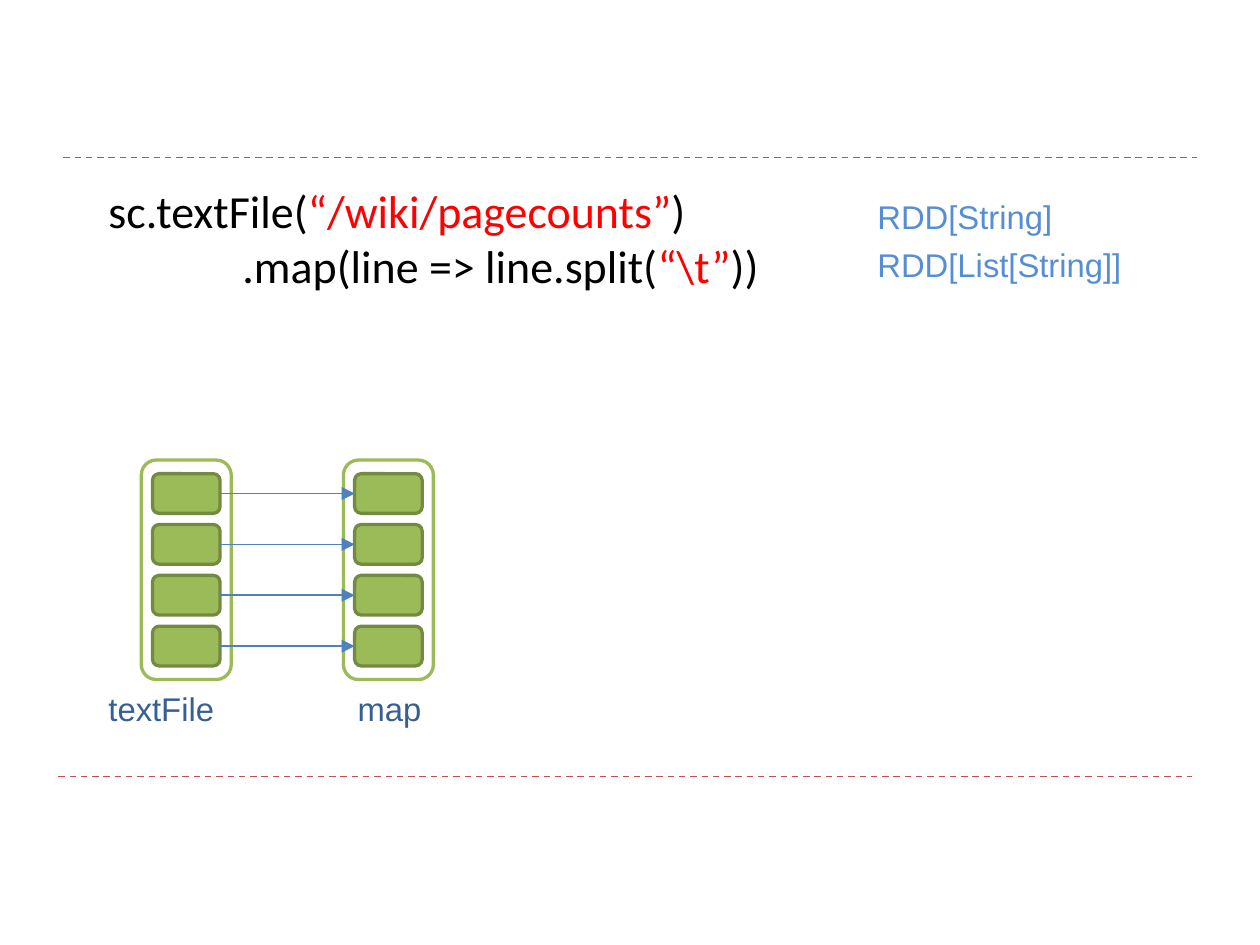
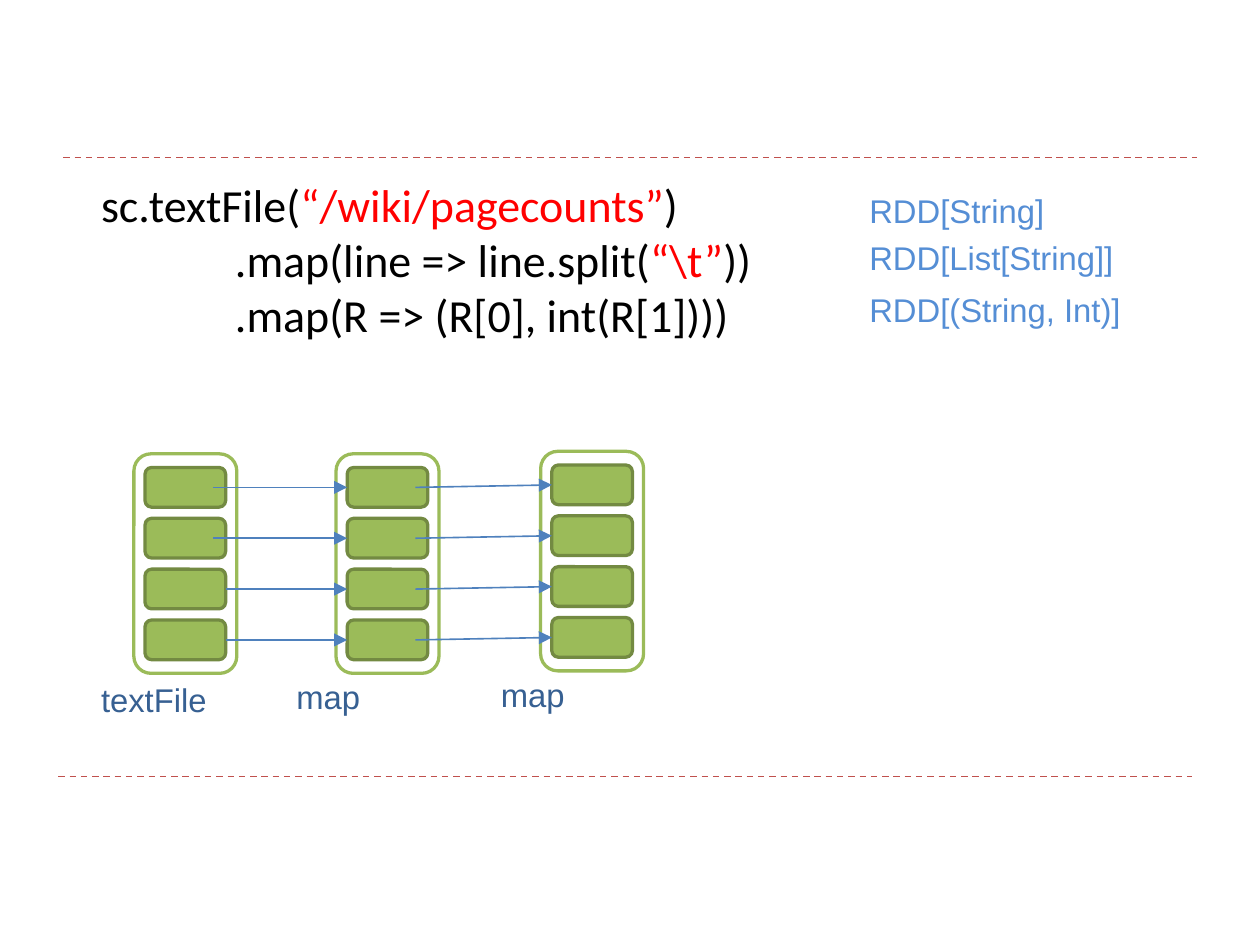
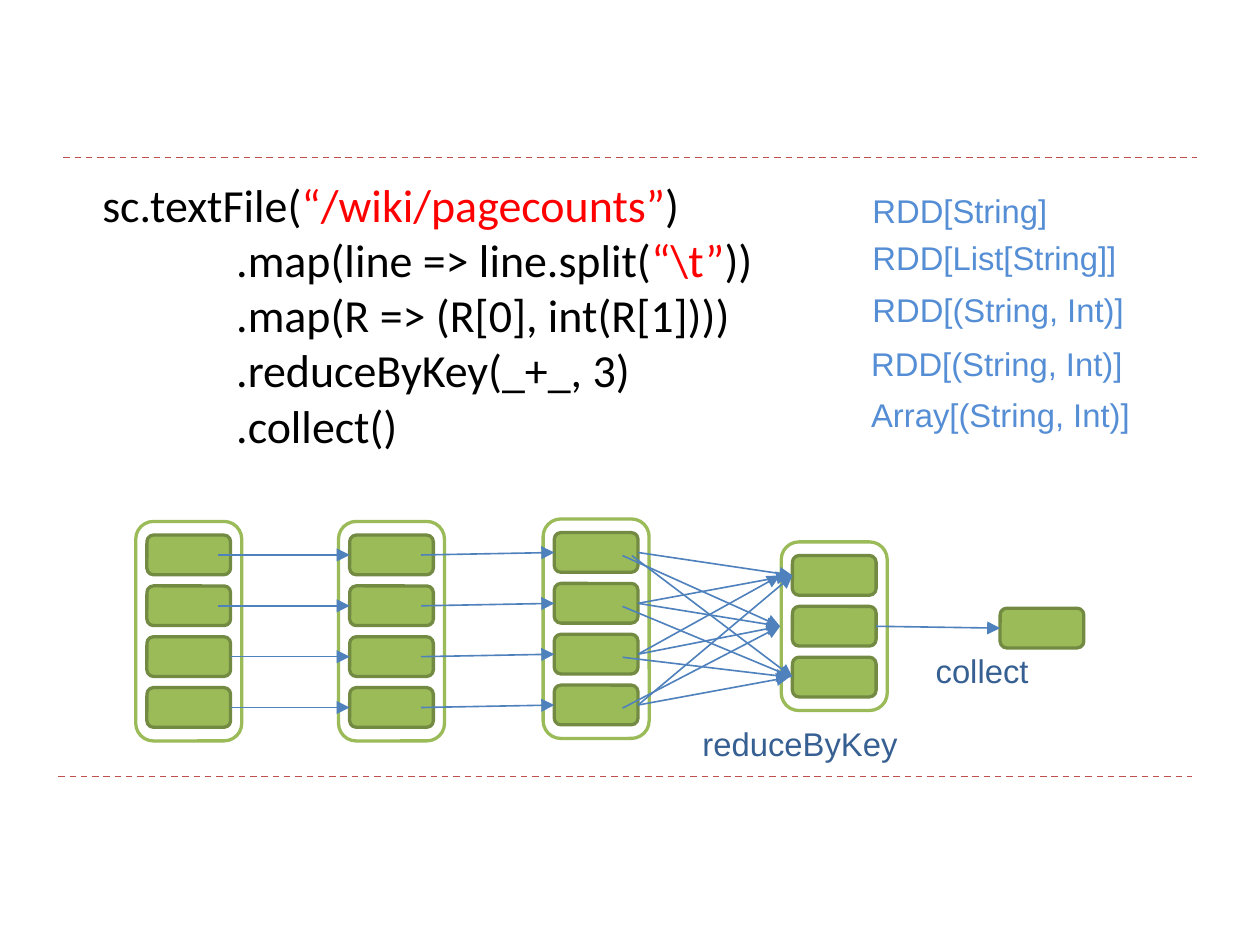
"""Build three slides that trace a chain of RDD operations from code to partitions."""
from dataclasses import dataclass

from pptx import Presentation
from pptx import util as u
from pptx.dml.color import RGBColor
from pptx.enum import dml, shapes, text
from pptx.oxml import ns, xmlchemy


@dataclass(frozen=True)
class Theme:
    rule: str = "C0504D"
    code: str = "000000"
    literal: str = "FF0000"
    type_name: str = "558ED5"
    stage: str = "376092"
    panel: str = "FFFFFF"
    green: str = "9BBB59"
    dark_green: str = "738A42"
    arrow: str = "4F81BD"
    code_font: str = "Calibri"
    label_font: str = "Arial"
    code_size: float = 21
    label_size: float = 15
    thin: float = 0.75
    thick: float = 1.5


class Deck:
    margin_x, margin_y = 0.23, 0.11
    code_line, code_tab, label_height = 0.91, 2.16, 0.86
    cell_height, cell_pitch = 0.64, 0.82
    inset_x, inset_y = 0.18, 0.22

    def __init__(self, theme):
        self.theme = theme
        self.presentation = Presentation()
        self.presentation.slide_width = u.Cm(20.32)
        self.presentation.slide_height = u.Cm(15.24)
        self.slide = None

    def new_slide(self):
        layout = self.presentation.slide_layouts[6]
        self.slide = self.presentation.slides.add_slide(layout)
        for left, top in ((0.94, 12.52), (1.02, 2.54)):
            rule = self.line(u.Cm(left), u.Cm(top), u.Cm(left + 18.29), u.Cm(top), self.theme.rule)
            rule.line.dash_style = dml.MSO_LINE.DASH

    def line(self, begin_x, begin_y, end_x, end_y, color):
        connector = self.slide.shapes.add_connector(
            shapes.MSO_CONNECTOR.STRAIGHT, begin_x, begin_y, end_x, end_y)
        connector.line.color.rgb = RGBColor.from_string(color)
        connector.line.width = u.Pt(self.theme.thin)
        connector.element.spPr.append(xmlchemy.OxmlElement("a:effectLst"))
        return connector

    def text_box(self, left, top, width, height):
        shape = self.slide.shapes.add_textbox(u.Cm(left), u.Cm(top), u.Cm(width), u.Cm(height))
        frame = shape.text_frame
        frame.word_wrap = True
        frame.auto_size = text.MSO_AUTO_SIZE.SHAPE_TO_FIT_TEXT
        frame.margin_left = frame.margin_right = u.Cm(self.margin_x)
        frame.margin_top = frame.margin_bottom = u.Cm(self.margin_y)
        return frame

    def style(self, run, font, size, color):
        run.font.name = font
        run.font.size = u.Pt(size)
        run.font.color.rgb = RGBColor.from_string(color)

    def code(self, left, top, width, lines):
        height = 2 * self.margin_y + self.code_line * len(lines)
        frame = self.text_box(left, top, width, height)
        for index, line in enumerate(lines):
            paragraph = frame.add_paragraph() if index else frame.paragraphs[0]
            for part in line.replace("“", "|“").replace("”", "”|").split("|"):
                run = paragraph.add_run()
                run.text = part
                color = self.theme.literal if part.startswith("“") else self.theme.code
                self.style(run, self.theme.code_font, self.theme.code_size, color)
            self.tab_stop(paragraph)

    def tab_stop(self, paragraph):
        tabs = xmlchemy.OxmlElement("a:tabLst")
        tab = xmlchemy.OxmlElement("a:tab")
        tab.set("pos", str(int(u.Cm(self.code_tab))))
        tab.set("algn", "l")
        tabs.append(tab)
        paragraph._p.get_or_add_pPr().append(tabs)

    def label(self, words, left, top, width, color):
        frame = self.text_box(left, top, width, self.label_height)
        frame.text = words
        self.style(frame.paragraphs[0].runs[0], self.theme.label_font, self.theme.label_size, color)

    def type_name(self, words, left, top, width):
        self.label(words, left, top, width, self.theme.type_name)

    def stage(self, words, left, top, width):
        self.label(words, left, top, width, self.theme.stage)

    def box(self, container, left, top, width, height, fill, outline):
        shape = container.add_shape(shapes.MSO_SHAPE.ROUNDED_RECTANGLE,
                                    u.Cm(left), u.Cm(top), u.Cm(width), u.Cm(height))
        shape.shadow.inherit = False
        shape.fill.solid()
        shape.fill.fore_color.rgb = RGBColor.from_string(fill)
        shape.line.color.rgb = RGBColor.from_string(outline)
        shape.line.width = u.Pt(self.theme.thick)
        return shape

    def partition(self, container, left, top, width):
        return self.box(container, left, top, width, self.cell_height,
                        self.theme.green, self.theme.dark_green)

    def dataset(self, left, top, width, count=4):
        container = self.slide.shapes.add_group_shape().shapes
        height = 2 * self.inset_y + (count - 1) * self.cell_pitch + self.cell_height
        self.box(container, left, top, width, height, self.theme.panel, self.theme.green)
        return [self.partition(container, left + self.inset_x,
                               top + self.inset_y + row * self.cell_pitch,
                               width - 2 * self.inset_x)
                for row in range(count)]

    def arrow(self, source, target, overlap=0, gap=0, drop=0):
        connector = self.line(source.left + source.width - u.Cm(overlap),
                              source.top + source.height // 2 + u.Cm(drop),
                              target.left - u.Cm(gap),
                              target.top + target.height // 2, self.theme.arrow)
        head = xmlchemy.OxmlElement("a:tailEnd")
        head.set("type", "triangle")
        connector.element.spPr.find(ns.qn("a:ln")).append(head)

    def one_to_one(self, sources, targets, overlaps=(0, 0, 0, 0)):
        for source, target, overlap in zip(sources, targets, overlaps):
            self.arrow(source, target, overlap)

    def shuffle(self, sources, targets, offsets):
        for source, row in zip(sources, offsets):
            for target, (overlap, gap) in zip(targets, row):
                self.arrow(source, target, overlap, gap, 0.05 if overlap else 0)


CODE = ("sc.textFile(“/wiki/pagecounts”)",
        "\t.map(line => line.split(“\\t”))",
        "\t.map(R => (R[0], int(R[1])))",
        "\t.reduceByKey(_+_, 3)",
        "\t.collect()")
UPPER_ROWS = (0.2, 0.2, 0, 0)
ALL_ROWS = (0.2,) * 4
SHUFFLE = (((0, 0), (0.25, 0.2), (0.1, 0)),
           ((0, 0.05), (0, 0.2), (0.25, 0)),
           ((0, 0.2), (0, 0.2), (0.25, 0.05)),
           ((0, 0), (0.25, 0.2), (0, 0.05)))


def first_map(deck):
    deck.new_slide()
    deck.code(1.52, 2.84, 12.4, CODE[:2])
    deck.type_name("RDD[String]", 13.92, 3.07, 3.99)
    deck.type_name("RDD[List[String]]", 13.92, 3.84, 4.7)
    lines = deck.dataset(2.28, 7.42, 1.45)
    fields = deck.dataset(5.54, 7.42, 1.45)
    deck.one_to_one(lines, fields)
    deck.stage("textFile", 1.52, 11, 2.54)
    deck.stage("map", 5.54, 11, 2.03)


def second_map(deck):
    deck.new_slide()
    deck.code(1.4, 2.74, 14.25, CODE[:3])
    deck.type_name("RDD[String]", 13.79, 2.97, 3.3)
    deck.type_name("RDD[List[String]]", 13.79, 3.73, 5.38)
    deck.type_name("RDD[(String, Int)]", 13.79, 4.57, 5.38)
    lines = deck.dataset(2.16, 7.32, 1.66)
    fields = deck.dataset(5.42, 7.32, 1.66)
    pairs = deck.dataset(8.72, 7.28, 1.66)
    deck.one_to_one(lines, fields, UPPER_ROWS)
    deck.one_to_one(fields, pairs, ALL_ROWS)
    deck.stage("textFile", 1.4, 10.85, 2.34)
    deck.stage("map", 4.55, 10.8, 2.34)
    deck.stage("map", 7.85, 10.77, 2.34)


def reduce_and_collect(deck):
    deck.new_slide()
    deck.code(1.42, 2.74, 14.76, CODE)
    deck.type_name("RDD[String]", 13.84, 2.97, 3.43)
    deck.type_name("RDD[List[String]]", 13.84, 3.73, 5.59)
    deck.type_name("RDD[(String, Int)]", 13.84, 4.57, 5.59)
    deck.type_name("RDD[(String, Int)]", 13.82, 5.44, 5.59)
    deck.type_name("Array[(String, Int)]", 13.82, 6.25, 5.59)
    lines = deck.dataset(2.19, 8.41, 1.71)
    fields = deck.dataset(5.46, 8.41, 1.71)
    pairs = deck.dataset(8.76, 8.37, 1.71)
    totals = deck.dataset(12.6, 8.74, 1.71, 3)
    result = deck.partition(deck.slide.shapes, 16.13, 9.81, 1.35)
    deck.one_to_one(lines, fields, UPPER_ROWS)
    deck.one_to_one(fields, pairs, ALL_ROWS)
    deck.shuffle(pairs, totals, SHUFFLE)
    deck.arrow(totals[1], result)
    deck.stage("reduceByKey", 11.1, 11.56, 3.71)
    deck.stage("collect", 14.86, 10.39, 3.71)


def main():
    deck = Deck(Theme())
    first_map(deck)
    second_map(deck)
    reduce_and_collect(deck)
    deck.presentation.save("out.pptx")


if __name__ == "__main__":
    main()
